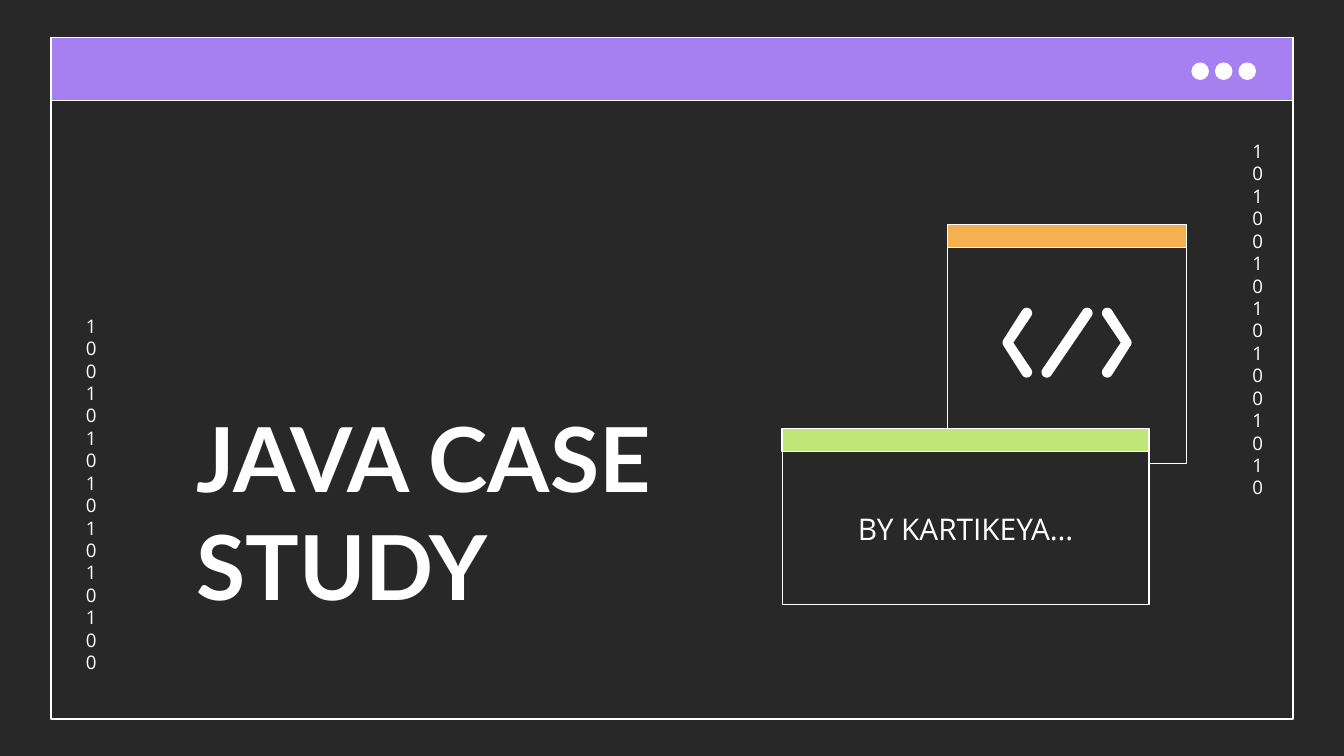
import math
import pptx
import pptx.dml.color
import pptx.enum.shapes
import pptx.enum.text
import pptx.util

Inches = pptx.util.Inches
Pt = pptx.util.Pt
SHAPE = pptx.enum.shapes.MSO_SHAPE
ALIGN = pptx.enum.text.PP_ALIGN
ANCHOR = pptx.enum.text.MSO_ANCHOR

THEME = {
    "dark": "292828", "white": "FFFFFF", "purple": "A67FF1",
    "orange": "F5B150", "green": "C0E67A",
    "heading": "Lato", "body": "Open Sans",
    "title_size": 48, "author_size": 16, "bits_size": 10, "line": 0.75,
}

TITLE = ("JAVA CASE STUDY", (1.36, 1.32, 3.87, 3.38))
AUTHOR = ("BY KARTIKEYA…", (5.82, 3.36, 2.73, 1.14))
BIT_COLUMNS = [
    ("1010010101001010", (9.22, 0.94, 0.24, 2.8)),
    ("1001010101010100", (0.54, 2.24, 0.24, 2.8)),
]
WINDOWS = [
    ((0.38, 0.28, 9.24, 5.07), 0.47, "purple"),
    ((7.05, 1.67, 1.78, 1.78), 0.17, "orange"),
]
AUTHOR_BAR = (5.82, 3.19, 2.73, 0.17)
DOT_FIRST, DOT_LAST, DOT_TOP, DOT_SIZE, DOT_COUNT = 8.87, 9.22, 0.47, 0.12, 3

ICON_CENTRE = (7.94, 2.55)
STROKE_RADIUS = 0.04
STROKE_TILT = 33.7
ARM_RISE = 0.22


def colour(name):
    return pptx.dml.color.RGBColor.from_string(THEME[name])


def box(area):
    return [Inches(value) for value in area]


def paint(shape, fill=None, outlined=True):
    if fill:
        shape.fill.solid()
        shape.fill.fore_color.rgb = colour(fill)
    else:
        shape.fill.background()
    if outlined:
        shape.line.color.rgb = colour("white")
        shape.line.width = Pt(THEME["line"])
    else:
        shape.line.fill.background()


def add_panel(slide, area, fill=None, preset=SHAPE.RECTANGLE):
    panel = slide.shapes.add_shape(preset, *box(area))
    panel.shadow.inherit = False
    paint(panel, fill)


def add_window(slide, area, bar_height, bar_colour):
    add_panel(slide, area)
    add_panel(slide, (*area[:3], bar_height), bar_colour)


def write(shape, text, face, size, align, anchor, bold=False):
    frame = shape.text_frame
    frame.text = text
    frame.word_wrap = True
    frame.auto_size = pptx.enum.text.MSO_AUTO_SIZE.NONE
    frame.vertical_anchor = anchor
    frame.margin_left = frame.margin_right = Inches(0.1)
    frame.margin_top = frame.margin_bottom = Inches(0.1)
    paragraph = frame.paragraphs[0]
    paragraph.alignment = align
    paragraph.line_spacing = 1.0
    paragraph.space_before = Pt(0)
    paragraph.font.name = THEME[face]
    paragraph.font.size = Pt(THEME[size])
    paragraph.font.bold = bold
    paragraph.font.color.rgb = colour("white")


def place(shape, area):
    shape.left, shape.top, shape.width, shape.height = box(area)


def arc(x, y, start, end, steps=12):
    angles = [math.radians(start + (end - start) * i / steps) for i in range(steps + 1)]
    return [(x + STROKE_RADIUS * math.cos(a), y + STROKE_RADIUS * math.sin(a)) for a in angles]


def code_icon_outlines():
    tilt = STROKE_TILT
    slash = (arc(0.15, -ARM_RISE, tilt - 180, tilt)
             + arc(-0.15, ARM_RISE, tilt, tilt + 180))
    right = (arc(0.3, -ARM_RISE, 180 - tilt, 360 - tilt)
             + arc(0.44, 0, -tilt, tilt)
             + arc(0.3, ARM_RISE, tilt, tilt + 180)
             + [(0.4, 0)])
    left = [(-x, y) for x, y in right]
    return [slash, right, left]


def add_code_icon(slide):
    centre_x, centre_y = ICON_CENTRE
    outlines = [[(Inches(centre_x + x), Inches(centre_y + y)) for x, y in outline]
                for outline in code_icon_outlines()]
    builder = slide.shapes.build_freeform(*outlines[0][0])
    for index, outline in enumerate(outlines):
        if index:
            builder.move_to(*outline[0])
        builder.add_line_segments(outline[1:], close=True)
    icon = builder.convert_to_shape()
    icon.shadow.inherit = False
    paint(icon, "white", outlined=False)


def main():
    deck = pptx.Presentation()
    deck.slide_width = Inches(10)
    deck.slide_height = deck.slide_width * 9 // 16
    slide = deck.slides.add_slide(deck.slide_layouts[0])
    slide.background.fill.solid()
    slide.background.fill.fore_color.rgb = colour("dark")
    title, author = slide.shapes.title, slide.placeholders[1]

    frame_window, code_window = WINDOWS
    add_window(slide, *frame_window)
    dot_step = (DOT_LAST - DOT_FIRST) / (DOT_COUNT - 1)
    for i in range(DOT_COUNT):
        add_panel(slide, (DOT_FIRST + i * dot_step, DOT_TOP, DOT_SIZE, DOT_SIZE),
                  "white", SHAPE.OVAL)
    for bits, area in BIT_COLUMNS:
        write(slide.shapes.add_textbox(*box(area)), bits, "body", "bits_size",
              ALIGN.CENTER, ANCHOR.TOP)
    add_window(slide, *code_window)

    shape_tree = title.element.getparent()
    shape_tree.append(title.element)
    place(title, TITLE[1])
    write(title, TITLE[0], "heading", "title_size", ALIGN.LEFT, ANCHOR.BOTTOM, bold=True)
    add_code_icon(slide)

    shape_tree.append(author.element)
    place(author, AUTHOR[1])
    paint(author, "dark")
    write(author, AUTHOR[0], "body", "author_size", ALIGN.CENTER, ANCHOR.MIDDLE)
    add_panel(slide, AUTHOR_BAR, "green")

    deck.save("out.pptx")


if __name__ == "__main__":
    main()
